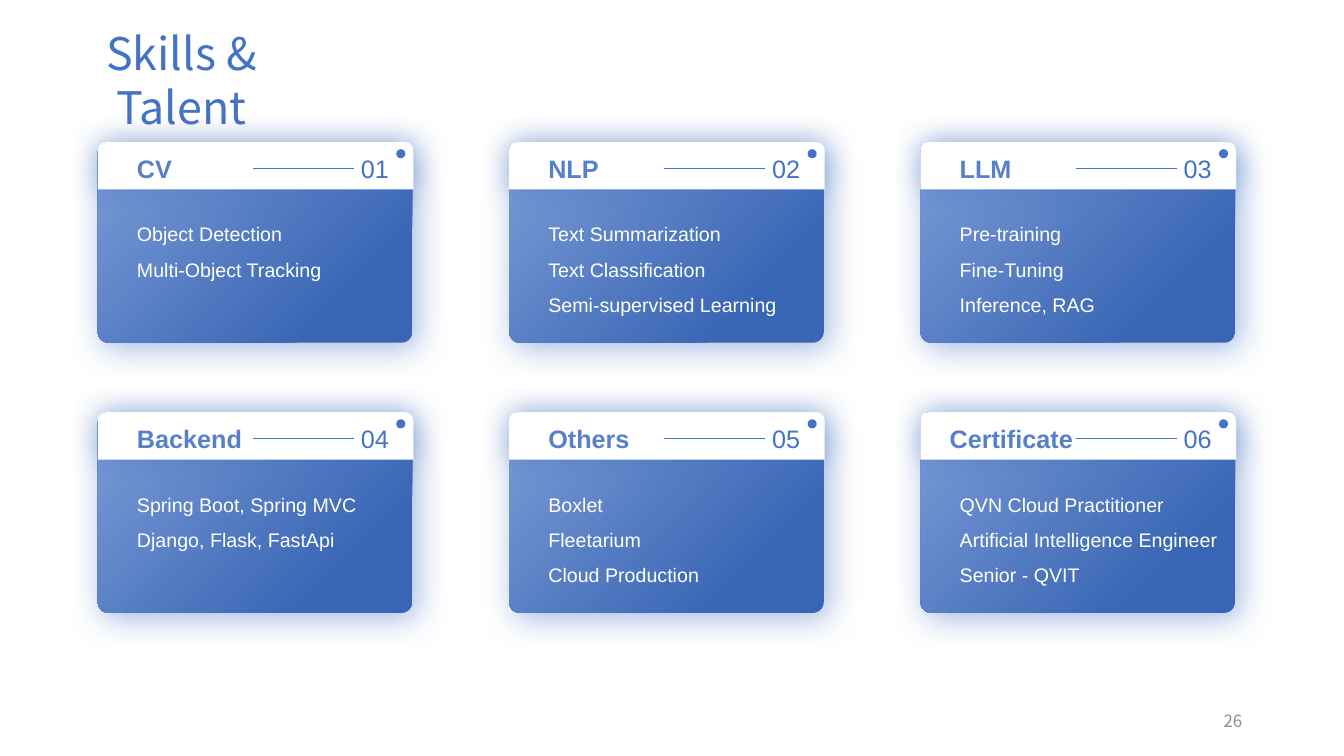
import pptx
import pptx.util
import pptx.dml.color
import pptx.enum.shapes
import pptx.enum.text
import pptx.oxml
import pptx.oxml.ns
from lxml import etree

Inches, Pt = pptx.util.Inches, pptx.util.Pt
RGBColor = pptx.dml.color.RGBColor
SHAPE = pptx.enum.shapes.MSO_SHAPE
ALIGN = pptx.enum.text.PP_ALIGN
ANCHOR = pptx.enum.text.MSO_ANCHOR
qn = pptx.oxml.ns.qn

BLUE = RGBColor(0x44, 0x72, 0xC4)
HEADING = RGBColor(0x57, 0x80, 0xCA)
LIGHT = RGBColor(0x7C, 0x9C, 0xD6)
DARK = RGBColor(0x39, 0x65, 0xB5)
GRAY = RGBColor(0x8C, 0x8C, 0x8C)
WHITE = RGBColor(0xFF, 0xFF, 0xFF)
SANS, CJK = "Arial", "Noto Sans CJK SC"
NS = 'xmlns:a="http://schemas.openxmlformats.org/drawingml/2006/main"'

# Card grid, in inches
COLS = 3
LEFT, TOP = 0.97, 1.41
COL_STEP, ROW_STEP = 4.08, 2.68
CARD_W, CARD_H, HEAD_H = 3.12, 1.99, 0.47
DOT = 0.09

CARDS = [
    ("CV", ["Object Detection", "Multi-Object Tracking"]),
    ("NLP", ["Text Summarization", "Text Classification",
             "Semi-supervised Learning"]),
    ("LLM", ["Pre-training", "Fine-Tuning", "Inference, RAG"]),
    ("Backend", ["Spring Boot, Spring MVC", "Django, Flask, FastApi"]),
    ("Others", ["Boxlet", "Fleetarium", "Cloud Production"]),
    ("Certificate", ["QVN Cloud Practitioner",
                     "Artificial Intelligence Engineer Senior - QVIT"]),
]


def write(sp, lines, size, color, font=SANS, bold=False, align=ALIGN.LEFT,
          spacing=1.0):
    tf = sp.text_frame
    tf.word_wrap = True
    for i, line in enumerate(lines):
        p = tf.paragraphs[0] if i == 0 else tf.add_paragraph()
        p.alignment, p.line_spacing = align, spacing
        r = p.add_run()
        r.text = line
        r.font.name, r.font.size, r.font.bold = font, Pt(size), bold
        r.font.color.rgb = color


def add_glow(sp, alpha, blur, dist, angle):
    sp.shadow.inherit = False
    effects = sp._element.spPr.find(qn("a:effectLst"))
    effects.append(pptx.oxml.parse_xml(
        f'<a:outerShdw {NS} blurRad="{Pt(blur)}" dist="{Pt(dist)}" '
        f'dir="{angle * 60000}" algn="ctr" rotWithShape="0">'
        f'<a:srgbClr val="{BLUE}"><a:alpha val="{alpha * 1000}"/></a:srgbClr>'
        f'</a:outerShdw>'))


prs = pptx.Presentation()
prs.slide_width, prs.slide_height = Inches(13.33), Inches(7.5)
s = prs.slides.add_slide(prs.slide_layouts[5])

# Title
title = s.shapes.title
title.left, title.top = Inches(0.9), Inches(0.25)
title.width, title.height = Inches(1.8), Inches(1.07)
tf = title.text_frame
tf.margin_left = tf.margin_right = tf.margin_top = tf.margin_bottom = 0
tf.vertical_anchor = ANCHOR.TOP
tf.auto_size = pptx.enum.text.MSO_AUTO_SIZE.NONE
write(title, ["Skills & Talent"], 32, BLUE, CJK, align=ALIGN.CENTER,
      spacing=Pt(38.5))

# Page number
sp = s.shapes.add_textbox(Inches(9.42), Inches(6.95), Inches(3), Inches(0.4))
sp.text_frame.vertical_anchor = ANCHOR.MIDDLE
write(sp, ["26"], 12, GRAY, CJK, align=ALIGN.RIGHT)

for i, (name, skills) in enumerate(CARDS):
    row, col = divmod(i, COLS)
    x, y = LEFT + col * COL_STEP, TOP + row * ROW_STEP

    # Card body with a radial gradient from its top left corner
    body = s.shapes.add_shape(SHAPE.ROUNDED_RECTANGLE, Inches(x), Inches(y),
                              Inches(CARD_W), Inches(CARD_H))
    body.adjustments[0] = 0.054
    body.line.fill.background()
    body.fill.gradient()
    grad = body._element.spPr.find(qn("a:gradFill"))
    for child in list(grad):
        grad.remove(child)
    grad.append(pptx.oxml.parse_xml(
        f'<a:gsLst {NS}><a:gs pos="0"><a:srgbClr val="{LIGHT}"/></a:gs>'
        f'<a:gs pos="80000"><a:srgbClr val="{DARK}"/></a:gs></a:gsLst>'))
    grad.append(pptx.oxml.parse_xml(
        f'<a:path {NS} path="circle">'
        f'<a:fillToRect r="100000" b="100000"/></a:path>'))
    add_glow(body, 50, 24, 4.8, 45)

    # White header band with a dot in its corner
    head = s.shapes.add_shape(SHAPE.ROUND_2_SAME_RECTANGLE, Inches(x),
                              Inches(y), Inches(CARD_W + 0.01), Inches(HEAD_H))
    head.adjustments[0] = 0.17
    add_glow(head, 40, 20.2, 0, 0)
    dot = s.shapes.add_shape(SHAPE.OVAL, Inches(x + 2.96), Inches(y + 0.07),
                             Inches(DOT), Inches(DOT))
    dot.shadow.inherit = False
    for sp, color in ((head, WHITE), (dot, BLUE)):
        sp.fill.solid()
        sp.fill.fore_color.rgb = color
        sp.line.fill.background()

    # Heading, skills and number; the longest heading starts further left
    shift = 0.19 if name == "Certificate" else 0.29
    sp = s.shapes.add_textbox(Inches(x + shift), Inches(y + 0.06),
                              Inches(2.2), Inches(0.4))
    write(sp, [name], 18, HEADING, bold=True)
    sp = s.shapes.add_textbox(Inches(x + 0.29), Inches(y + 0.63),
                              Inches(2.95), Inches(1.12))
    write(sp, skills, 14, WHITE, spacing=1.5)
    sp = s.shapes.add_textbox(Inches(x + 2.51), Inches(y + 0.06),
                              Inches(0.61), Inches(0.4))
    write(sp, [f"{i + 1:02d}"], 18, BLUE)

    # Rule between heading and number
    rule = s.shapes.add_connector(
        pptx.enum.shapes.MSO_CONNECTOR.STRAIGHT, Inches(x + 1.54),
        Inches(y + 0.26), Inches(x + 2.54), Inches(y + 0.26))
    rule.line.color.rgb, rule.line.width = BLUE, Pt(0.48)
    etree.SubElement(rule._element.spPr, qn("a:effectLst"))

prs.save("out.pptx")
